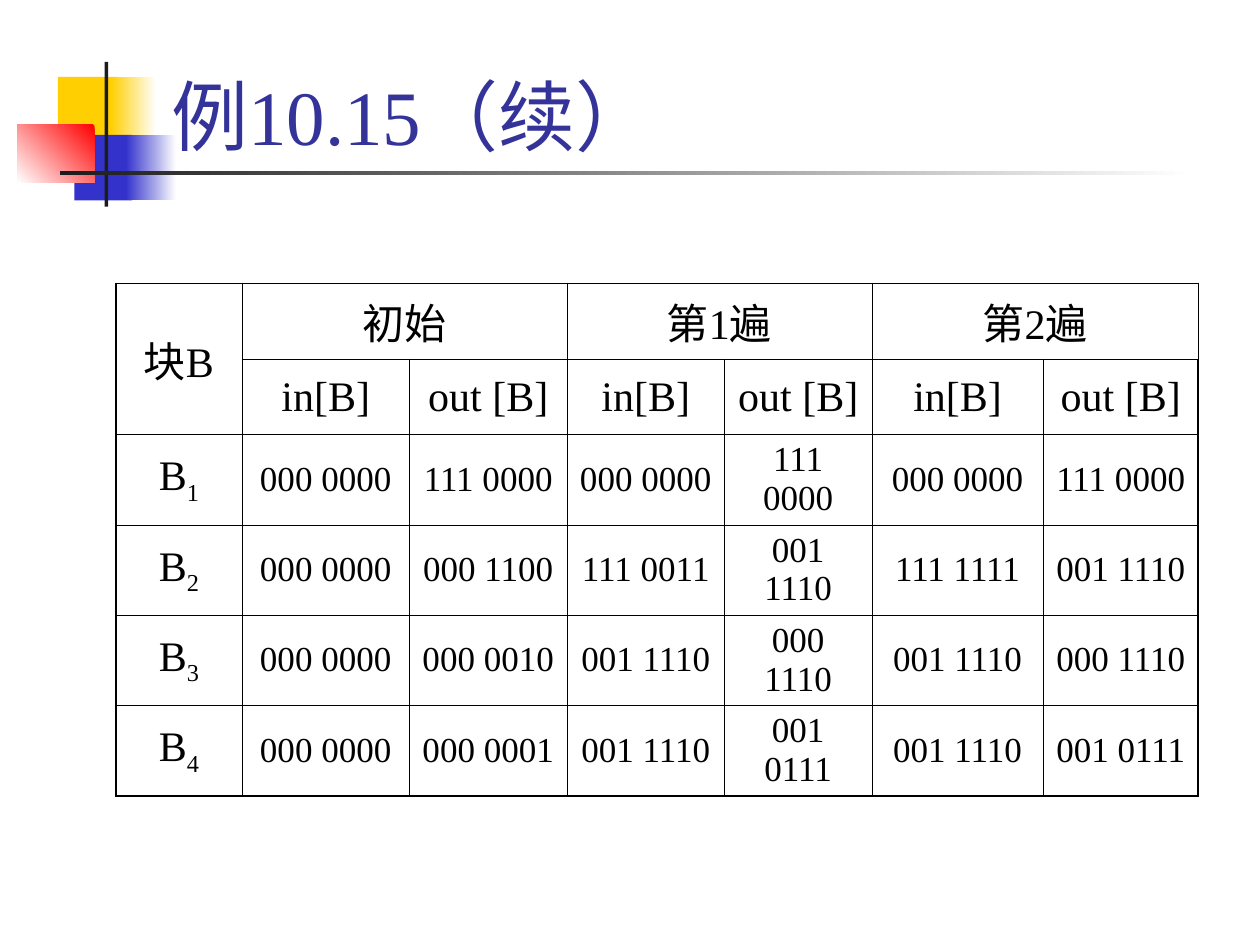
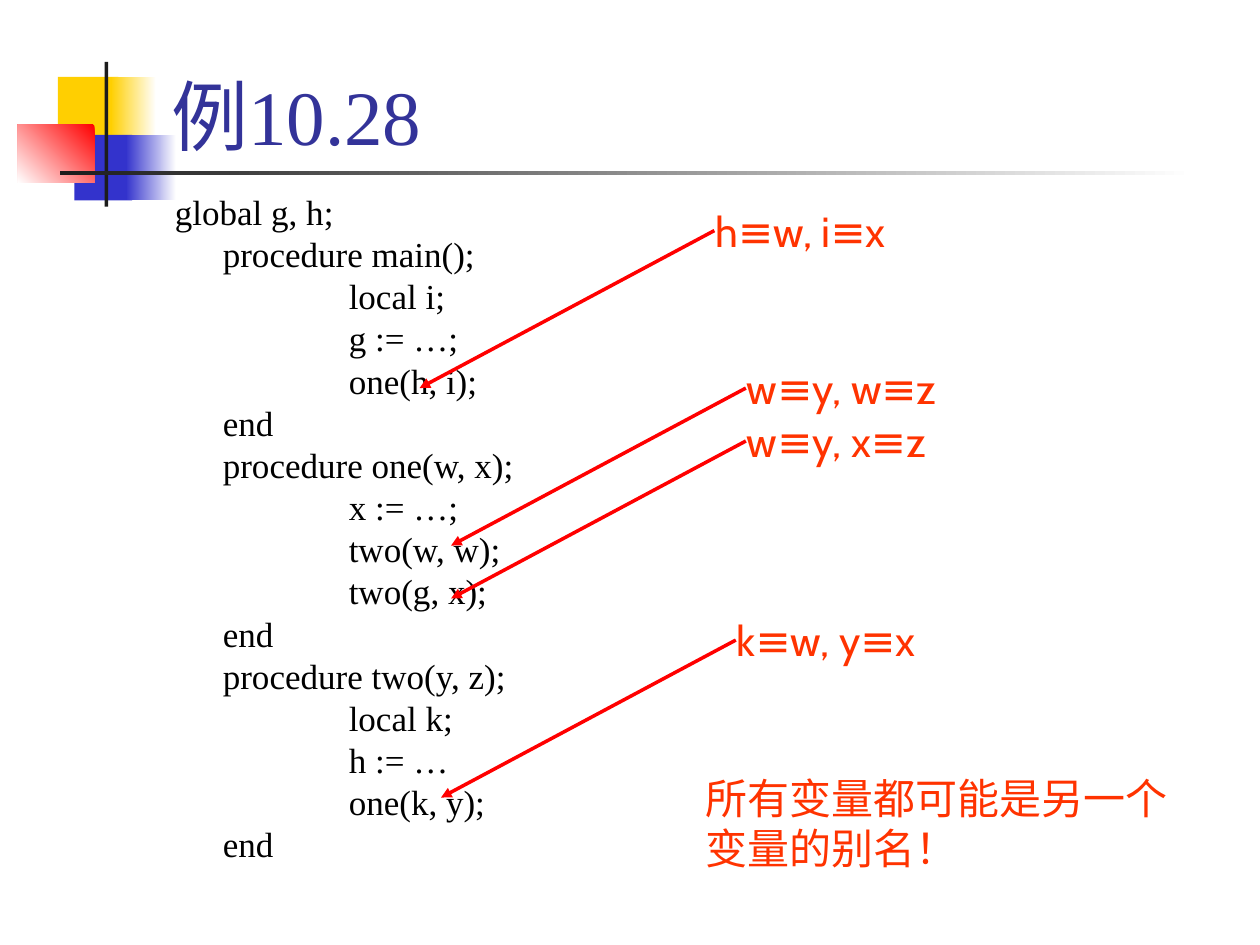
"""Builds two slides: a data-flow table and an alias example."""
from lxml import etree
from pptx import Presentation
from pptx import util as u
from pptx.dml.color import RGBColor
from pptx.enum import shapes, text
from pptx.oxml import ns

SERIF, SANS = "Times New Roman", "Cabin"
INK, NAVY, CORAL, RED = "000000", "333399", "FF3300", "FF0000"
GOLD, BLUE, DARK, WHITE = "FFCF01", "3333CC", "1C1C1C", "FFFFFF"


def hue(code):
    return RGBColor.from_string(code)


def write(par, words, size, face, code):
    run = par.add_run()
    run.text = words
    run.font.size = u.Pt(size)
    run.font.name = face
    run.font.color.rgb = hue(code)
    return run


deck = Presentation()
deck.slide_width, deck.slide_height = u.Inches(10), u.Inches(7.5)

decor = [
    (0.46, 0.61, 0.48, 0.52, [GOLD], 0),
    (0.88, 0.61, 0.36, 0.52, [WHITE, GOLD], 180),
    (0.59, 1.07, 0.46, 0.52, [BLUE], 0),
    (1, 1.07, 0.4, 0.52, [WHITE, BLUE], 180),
    (0.14, 0.99, 0.61, 0.46, [RED, WHITE], 225),
    (0.83, 0.49, 0.03, 1.15, [DARK], 0),
    (0.48, 1.36, 9, 0.03, [WHITE, DARK], 180),
]
pages = []
for head in ["例10.15（续）", "例10.28"]:
    page = deck.slides.add_slide(deck.slide_layouts[6])
    pages.append(page)
    for *area, tones, angle in decor:
        block = page.shapes.add_shape(shapes.MSO_SHAPE.RECTANGLE, *map(u.Inches, area))
        block.shadow.inherit = False
        block.line.fill.background()
        if len(tones) == 1:
            block.fill.solid()
            block.fill.fore_color.rgb = hue(tones[0])
        else:
            block.fill.gradient()
            block.fill.gradient_angle = angle
            for stop, tone in zip(block.fill.gradient_stops, tones):
                stop.color.rgb = hue(tone)
    box = page.shapes.add_textbox(*map(u.Inches, (1.26, 0.08, 8.52, 1.25)))
    box.text_frame.word_wrap = True
    box.text_frame.vertical_anchor = text.MSO_ANCHOR.BOTTOM
    write(box.text_frame.paragraphs[0], head, 44, SERIF, NAVY)

first, second = pages

wide = [1, 1.33, 1.25, 1.25, 1.17, 1.36, 1.23]
rows = [
    ["块B", "初始", "", "第1遍", "", "第2遍", ""],
    [""] + ["in[B]", "out [B]"] * 3,
    ["B1", "000 0000", "111 0000", "000 0000", "111 0000", "000 0000", "111 0000"],
    ["B2", "000 0000", "000 1100", "111 0011", "001 1110", "111 1111", "001 1110"],
    ["B3", "000 0000", "000 0010", "001 1110", "000 1110", "001 1110", "000 1110"],
    ["B4", "000 0000", "000 0001", "001 1110", "001 0111", "001 1110", "001 0111"],
]
frame = first.shapes.add_table(len(rows), len(wide), *map(u.Inches, (0.92, 2.25, 8.59, 3.6)))
grid = frame.table
grid.first_row = grid.horz_banding = False
for col, width in zip(grid.columns, wide):
    col.width = u.Inches(width)
for line in grid.rows:
    line.height = u.Inches(0.6)
grid.cell(0, 0).merge(grid.cell(1, 0))
for c in (1, 3, 5):
    grid.cell(0, c).merge(grid.cell(0, c + 1))

for r, row in enumerate(rows):
    for c, words in enumerate(row):
        cell = grid.cell(r, c)
        cell.vertical_anchor = text.MSO_ANCHOR.MIDDLE
        if r > 1 and c > 0:
            cell.margin_top, cell.margin_bottom = u.Inches(0.02), u.Inches(0.03)
        outer = {"L": c == 0, "R": c == len(wide) - 1, "T": r == 0, "B": r == len(rows) - 1}
        for side, edge in outer.items():
            rule = etree.SubElement(cell._tc.get_or_add_tcPr(), ns.qn("a:ln" + side))
            rule.set("w", str(u.Pt(1.08 if edge else 0.45)))
            paint = etree.SubElement(rule, ns.qn("a:solidFill"))
            etree.SubElement(paint, ns.qn("a:srgbClr")).set("val", INK)
        cell.fill.background()
        if not words:
            continue
        par = cell.text_frame.paragraphs[0]
        par.alignment = text.PP_ALIGN.CENTER
        if r > 1 and c == 0:
            write(par, words[0], 24, SERIF, INK)
            sub = write(par, words[1], 24, SERIF, INK)
            sub._r.get_or_add_rPr().set("baseline", "-25000")
        else:
            write(par, words, 24 if r < 2 else 20, SERIF, INK)

code = [
    (0, "global g, h;"),
    (1, "procedure main();"),
    (2, "local i;"),
    (2, "g := …;"),
    (2, "one(h, i);"),
    (1, "end"),
    (1, "procedure one(w, x);"),
    (2, "x := …;"),
    (2, "two(w, w);"),
    (2, "two(g, x);"),
    (1, "end"),
    (1, "procedure two(y, z);"),
    (2, "local k;"),
    (2, "h := …"),
    (2, "one(k, y);"),
    (1, "end"),
]
box = second.shapes.add_textbox(*map(u.Inches, (1.29, 1.5, 8.5, 5.83)))
body = box.text_frame
body.word_wrap = True
for n, (level, words) in enumerate(code):
    par = body.add_paragraph() if n else body.paragraphs[0]
    par.line_spacing = 0.9
    par.space_before = u.Pt(2.5 if n else 0)
    par._p.get_or_add_pPr().set("marL", str(u.Inches((0, 0.38, 1.38)[level])))
    write(par, words, 20, SERIF, INK)

notes = [
    (5.58, 1.58, 1.75, 0.5, "h≡w, i≡x"),
    (5.83, 2.83, 2, 0.5, "w≡y, w≡z"),
    (5.83, 3.25, 2, 0.5, "w≡y, x≡z"),
    (5.75, 4.83, 1.92, 0.5, "k≡w, y≡x"),
    (5.5, 6.08, 3.92, 0.9, "所有变量都可能是另一个变量的别名！"),
]
for left, top, width, height, words in notes:
    box = second.shapes.add_textbox(*map(u.Inches, (left, top, width, height)))
    box.text_frame.word_wrap = True
    write(box.text_frame.paragraphs[0], words, 24, SANS, CORAL)
    if "≡" not in words:
        continue
    x, y = left + 0.09, top + 0.25
    ends = map(u.Inches, (x, y, x - 2.34, y + 1.25))
    arrow = second.shapes.add_connector(shapes.MSO_CONNECTOR.STRAIGHT, *ends)
    arrow.line.color.rgb = hue(RED)
    arrow.line.width = u.Pt(2)
    props = arrow._element.spPr
    etree.SubElement(props.find(ns.qn("a:ln")), ns.qn("a:tailEnd")).set("type", "triangle")
    etree.SubElement(props, ns.qn("a:effectLst"))

deck.save("out.pptx")
